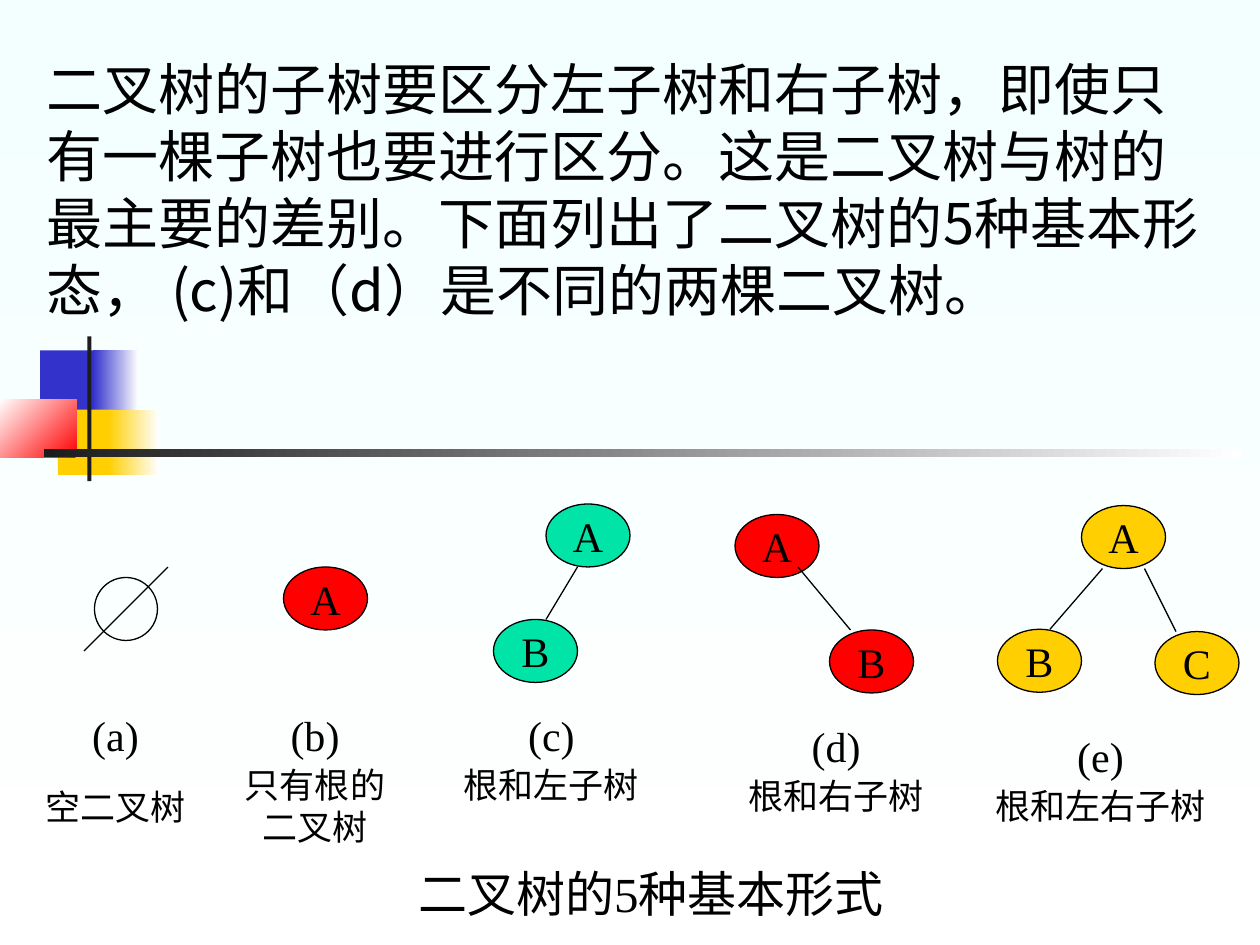
from dataclasses import dataclass

from lxml.etree import SubElement
from pptx import Presentation
from pptx.dml.color import RGBColor
from pptx.enum.shapes import MSO_CONNECTOR, MSO_SHAPE
from pptx.enum.text import MSO_ANCHOR, PP_ALIGN
from pptx.oxml.ns import qn
from pptx.util import Pt


@dataclass(frozen=True)
class Theme:
    sky: str = "F3FFFF"
    white: str = "FFFFFF"
    black: str = "000000"
    ink: str = "1C1C1C"
    blue: str = "3333CC"
    yellow: str = "FFCF01"
    red: str = "FF0000"
    green: str = "00E4A8"
    serif: str = "Times New Roman"
    sans: str = "Noto Sans CJK SC"
    title: int = 32
    footer: int = 28
    letter: int = 24
    caption: int = 20
    stroke: float = 0.75


THEME = Theme()
NODE_WIDTH, NODE_HEIGHT = 48, 36


def color(value):
    return RGBColor.from_string(value)


def paint_gradient(fill, start, end, clockwise):
    fill.gradient()
    fill.gradient_angle = (360 - clockwise) % 360
    for stop, value in zip(fill.gradient_stops, (start, end)):
        stop.color.rgb = color(value)


def add_span(para, text, size, latin):
    span = para.add_run()
    span.text = text
    span.font.size = Pt(size)
    span.font.color.rgb = color(THEME.black)
    span.font.name = latin
    SubElement(span.font._element, qn("a:ea"), typeface=THEME.sans)


def add_text(page, left, top, width, height, lines, latin=THEME.serif,
             align=PP_ALIGN.CENTER, wrap=False):
    """Each line is (text, size, space before, line height or None)."""
    box = page.shapes.add_textbox(Pt(left), Pt(top), Pt(width), Pt(height))
    frame = box.text_frame
    frame.word_wrap = wrap
    for index, (text, size, before, line_height) in enumerate(lines):
        para = frame.add_paragraph() if index else frame.paragraphs[0]
        para.alignment = align
        if before:
            para.space_before = Pt(before)
        if line_height:
            para.line_spacing = Pt(line_height)
        add_span(para, text, size, latin)
    return frame


def add_caption(page, left, top, width, height, label, names, gap=2):
    lines = [(label, THEME.letter, 0, None)]
    for index, name in enumerate(names):
        lines.append((name, THEME.caption, 0 if index else gap, 24))
    add_text(page, left, top, width, height, lines)


def add_block(page, left, top, width, height):
    block = page.shapes.add_shape(
        MSO_SHAPE.RECTANGLE, Pt(left), Pt(top), Pt(width), Pt(height))
    block.shadow.inherit = False
    block.line.fill.background()
    return block.fill


def add_oval(page, left, top, width, height, fill=None):
    oval = page.shapes.add_shape(
        MSO_SHAPE.OVAL, Pt(left), Pt(top), Pt(width), Pt(height))
    oval.shadow.inherit = False
    oval.line.color.rgb = color(THEME.black)
    oval.line.width = Pt(THEME.stroke)
    if fill:
        oval.fill.solid()
        oval.fill.fore_color.rgb = color(fill)
    else:
        oval.fill.background()
    return oval


def add_node(page, letter, left, top, fill):
    frame = add_oval(page, left, top, NODE_WIDTH, NODE_HEIGHT, fill).text_frame
    frame.word_wrap = False
    frame.vertical_anchor = MSO_ANCHOR.MIDDLE
    para = frame.paragraphs[0]
    para.alignment = PP_ALIGN.CENTER
    add_span(para, letter, THEME.letter, THEME.serif)


def add_line(page, x1, y1, x2, y2):
    line = page.shapes.add_connector(
        MSO_CONNECTOR.STRAIGHT, Pt(x1), Pt(y1), Pt(x2), Pt(y2))
    line.line.color.rgb = color(THEME.black)
    line.line.width = Pt(THEME.stroke)
    SubElement(line._element.spPr, qn("a:effectLst"))


def add_decoration(page):
    # A second colour and an angle make the block fade
    blocks = [
        (23, 200.2, 34.6, 37.4, THEME.blue, None, None),
        (53.3, 200.2, 25.9, 37.4, THEME.white, THEME.blue, 180),
        (33.1, 234, 33.1, 37.4, THEME.yellow, None, None),
        (61.9, 234, 28.8, 37.4, THEME.white, THEME.yellow, 180),
        (0, 228.2, 43.9, 33.1, THEME.red, THEME.white, 225),
        (49.9, 192.2, 2.4, 82.8, THEME.ink, None, None),
        (25.2, 256.5, 684.7, 4.4, THEME.white, THEME.ink, 180),
    ]
    for left, top, width, height, start, end, angle in blocks:
        fill = add_block(page, left, top, width, height)
        if end:
            paint_gradient(fill, start, end, angle)
        else:
            fill.solid()
            fill.fore_color.rgb = color(start)


def add_trees(page):
    # Empty tree
    add_oval(page, 54, 330, 36, 36)
    add_line(page, 96, 324, 48, 372)

    nodes = [
        ("A", 162, 324, THEME.red),
        ("A", 312, 288, THEME.green), ("B", 282, 354, THEME.green),
        ("A", 420, 294, THEME.red), ("B", 474, 360, THEME.red),
        ("A", 618, 288.9, THEME.yellow), ("C", 660, 360.9, THEME.yellow),
        ("B", 570, 359.6, THEME.yellow),
    ]
    for node in nodes:
        add_node(page, *node)

    branches = [
        (330, 324, 312, 354),
        (456, 324, 486, 360),
        (630, 324.9, 600, 359.6),
        (654, 324.9, 672, 360.9),
    ]
    for branch in branches:
        add_line(page, *branch)


def main():
    deck = Presentation()
    deck.slide_width, deck.slide_height = Pt(720), Pt(540)
    page = deck.slides.add_slide(deck.slide_layouts[6])
    paint_gradient(page.background.fill, THEME.sky, THEME.white, 90)
    add_decoration(page)

    # Statement
    statement = ("二叉树的子树要区分左子树和右子树，即使只有一棵子树也要进行区分。"
                 "这是二叉树与树的最主要的差别。下面列出了二叉树的5种基本形态，"
                 " (c)和（d）是不同的两棵二叉树。")
    frame = add_text(page, 19.4, 20.2, 680.4, 164.2,
                     [(statement, THEME.title, 0, 38.3)],
                     THEME.sans, PP_ALIGN.LEFT, True)
    frame.vertical_anchor = MSO_ANCHOR.BOTTOM
    frame.margin_bottom = Pt(0)

    add_trees(page)

    # Captions
    add_caption(page, 18, 402, 96, 72.7, "(a)", ["空二叉树"], 14.5)
    add_caption(page, 132, 402, 96, 84.2, "(b)", ["只有根的", "二叉树"])
    add_caption(page, 257.8, 402, 114.5, 60.5, "(c)", ["根和左子树"])
    add_caption(page, 420.5, 408, 114.5, 60.5, "(d)", ["根和右子树"])
    add_caption(page, 561.6, 414, 134.6, 60.5, "(e)", ["根和左右子树"])
    add_text(page, 210, 490, 324, 41,
             [("二叉树的5种基本形式", THEME.footer, 0, 33.6)])

    deck.save("out.pptx")


if __name__ == "__main__":
    main()
